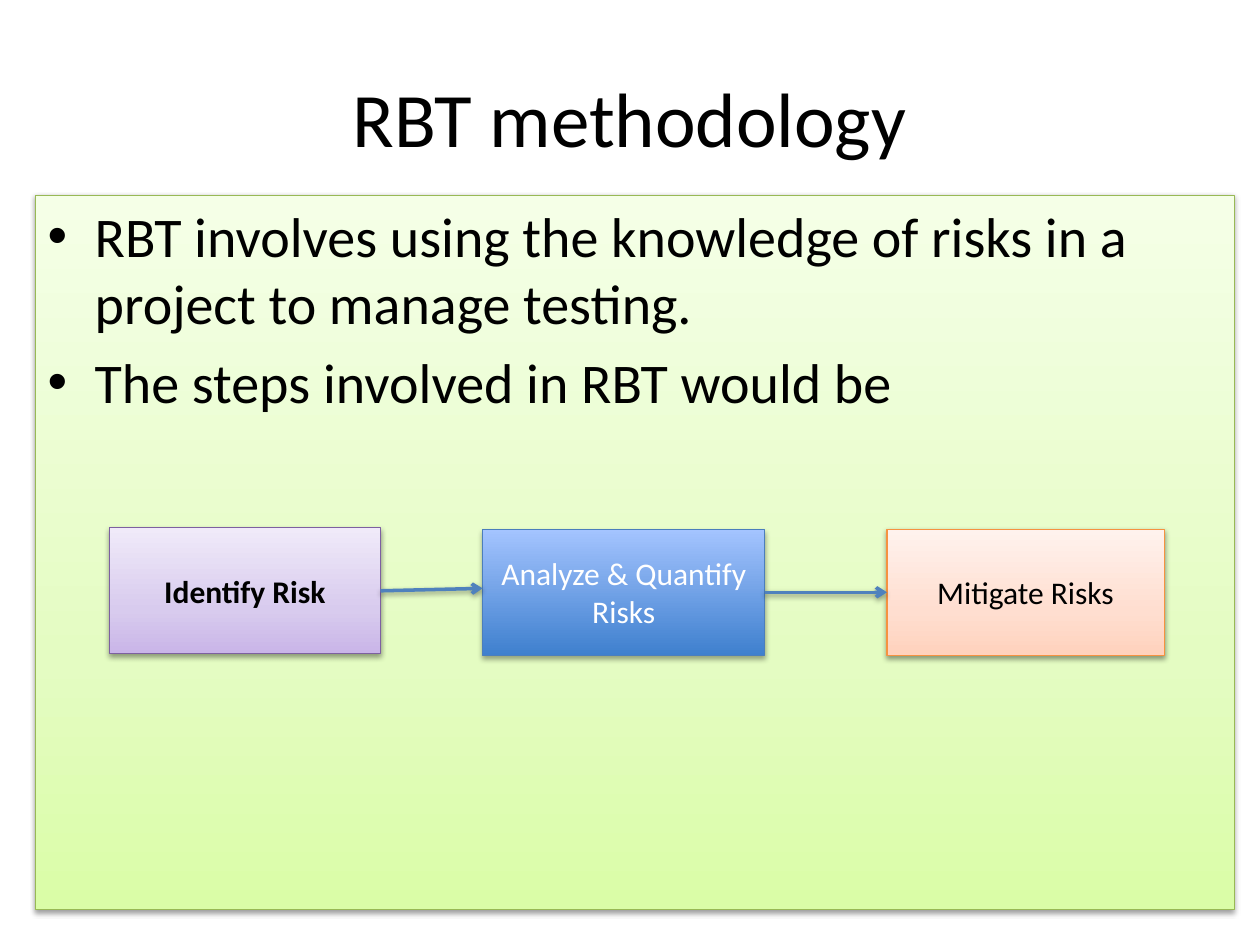
from copy import deepcopy

from pptx import Presentation
from pptx.dml.color import RGBColor
from pptx.enum.shapes import MSO_CONNECTOR, MSO_SHAPE
from pptx.enum.text import MSO_ANCHOR as Anchor, PP_ALIGN as Align
from pptx.oxml import parse_xml
from pptx.oxml.ns import nsdecls, qn
from pptx.util import Cm, Pt

BLACK = RGBColor(0x00, 0x00, 0x00)
WHITE = RGBColor(0xFF, 0xFF, 0xFF)
ARROW_BLUE = RGBColor(0x4F, 0x81, 0xBD)
GREEN_LINE = RGBColor(0x98, 0xB9, 0x55)
PURPLE_LINE = RGBColor(0x7D, 0x60, 0xA0)
BLUE_LINE = RGBColor(0x4B, 0x7E, 0xBC)
ORANGE_LINE = RGBColor(0xF6, 0x92, 0x40)
TEXT_OUTLINE = RGBColor(0x05, 0x46, 0x97)
GREENS = [RGBColor(0xDA, 0xFD, 0xA7), RGBColor(0xE4, 0xFC, 0xC2), RGBColor(0xF5, 0xFF, 0xE7)]
PURPLES = [RGBColor(0xC9, 0xB5, 0xE8), RGBColor(0xD8, 0xCB, 0xEE), RGBColor(0xF0, 0xEA, 0xF9)]
BLUES = [RGBColor(0x3F, 0x80, 0xCE), RGBColor(0xA4, 0xC4, 0xFF)]
ORANGES = [RGBColor(0xFF, 0xD2, 0xBD), RGBColor(0xFF, 0xDE, 0xD0), RGBColor(0xFF, 0xF2, 0xED)]


def cast_shadow(item, opacity=38, distance=1.6):
    item._element.spPr.append(parse_xml(
        f'<a:effectLst {nsdecls("a")}><a:outerShdw blurRad="{Pt(3.15)}" dist="{Pt(distance)}" '
        f'dir="5400000" rotWithShape="0"><a:srgbClr val="{BLACK}">'
        f'<a:alpha val="{opacity * 1000}"/></a:srgbClr></a:outerShdw></a:effectLst>'))


def add_panel(page, left, top, width, height, colors, line_color):
    box = page.shapes.add_shape(MSO_SHAPE.RECTANGLE, Cm(left), Cm(top), Cm(width), Cm(height))
    box.fill.gradient()
    box.fill.gradient_angle = 90
    if len(colors) == 3:
        stop_list = box._element.spPr.find(qn("a:gradFill")).find(qn("a:gsLst"))
        stop_list.append(deepcopy(stop_list[0]))
    positions = [0, 0.35, 1] if len(colors) == 3 else [0, 1]
    for stop, color, position in zip(box.fill.gradient_stops, colors, positions):
        stop.color.rgb = color
        stop.position = position
    box.line.color.rgb = line_color
    box.line.width = Pt(0.75)
    box.text_frame.word_wrap = True
    return box


deck = Presentation()
deck.slide_width = Cm(25.4)
deck.slide_height = Cm(19.05)
page = deck.slides.add_slide(deck.slide_layouts[6])

title = page.shapes.add_textbox(Cm(1.27), Cm(0.76), Cm(22.86), Cm(3.18))
title.text_frame.word_wrap = True
title.text_frame.vertical_anchor = Anchor.MIDDLE
para = title.text_frame.paragraphs[0]
para.text = "RBT methodology"
para.alignment = Align.CENTER
span = para.runs[0]
span.font.size = Pt(44)
span.font.name = "Calibri"
span.font.color.rgb = BLACK

body = add_panel(page, 0.71, 3.94, 24.18, 14.4, GREENS, GREEN_LINE)
cast_shadow(body)
body.text_frame.vertical_anchor = Anchor.TOP
body.text_frame.text = (
    "RBT involves using the knowledge of risks in a project to manage testing.\n"
    "The steps involved in RBT would be"
)
for para in body.text_frame.paragraphs:
    para.alignment = Align.LEFT
    para.space_before = Pt(6.4)
    span = para.runs[0]
    span.font.size = Pt(32)
    span.font.name = "Calibri"
    span.font.color.rgb = BLACK
    properties = para._p.get_or_add_pPr()
    properties.set("marL", str(Cm(0.95)))
    properties.set("indent", str(-Cm(0.95)))
    properties.append(parse_xml(f'<a:buFont {nsdecls("a")} typeface="Arial"/>'))
    properties.append(parse_xml(f'<a:buChar {nsdecls("a")} char="•"/>'))

steps = [
    ("Identify Risk", 2.21, 10.64, 5.46, PURPLES, PURPLE_LINE, BLACK, 38, 1.6),
    ("Analyze & Quantify Risks", 9.73, 10.67, 5.69, BLUES, BLUE_LINE, WHITE, 35, 1.8),
    ("Mitigate Risks", 17.88, 10.67, 5.59, ORANGES, ORANGE_LINE, BLACK, 38, 1.6),
]
boxes = []
for label, left, top, width, colors, line_color, text_color, opacity, distance in steps:
    box = add_panel(page, left, top, width, 2.54, colors, line_color)
    cast_shadow(box, opacity, distance)
    box.text_frame.vertical_anchor = Anchor.MIDDLE
    para = box.text_frame.paragraphs[0]
    para.text = label
    para.alignment = Align.CENTER
    span = para.runs[0]
    span.font.size = Pt(18)
    span.font.name = "Calibri"
    span.font.color.rgb = text_color
    boxes.append(box)
identify, analyze, mitigate = boxes

span = identify.text_frame.paragraphs[0].runs[0]
span.font.bold = True
span._r.get_or_add_rPr().insert(0, parse_xml(
    f'<a:ln {nsdecls("a")} w="{Pt(1)}"><a:solidFill><a:srgbClr val="{TEXT_OUTLINE}"/>'
    '</a:solidFill></a:ln>'))

to_analyze = page.shapes.add_connector(
    MSO_CONNECTOR.STRAIGHT, Cm(7.67), Cm(11.91), Cm(9.73), Cm(11.86))
to_analyze.begin_connect(identify, 3)
to_mitigate = page.shapes.add_connector(
    MSO_CONNECTOR.STRAIGHT, Cm(15.42), Cm(11.94), Cm(17.88), Cm(11.94))
to_mitigate.begin_connect(analyze, 3)
to_mitigate.end_connect(mitigate, 1)
for arrow in (to_analyze, to_mitigate):
    arrow.line.color.rgb = ARROW_BLUE
    arrow.line.width = Pt(2)
    arrow._element.spPr.find(qn("a:ln")).append(
        parse_xml(f'<a:tailEnd {nsdecls("a")} type="arrow"/>'))
    cast_shadow(arrow)

deck.save("out.pptx")
